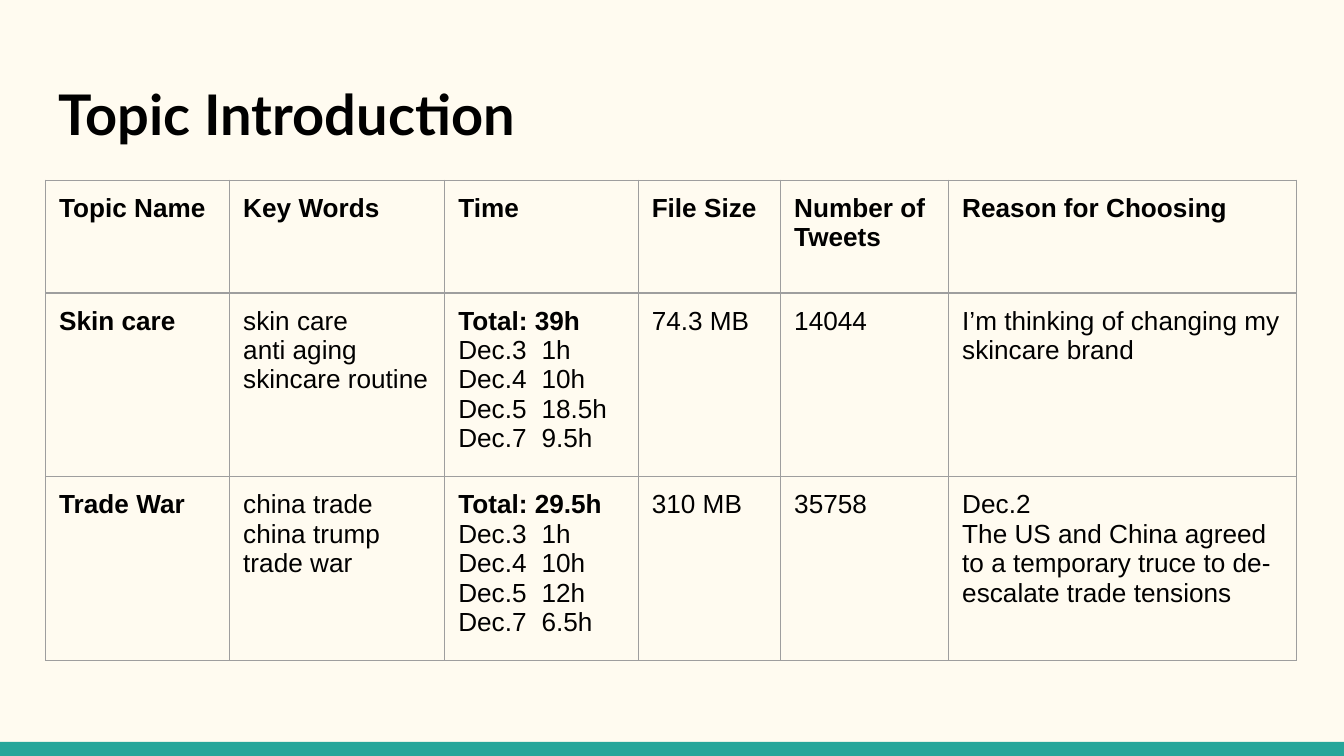
from dataclasses import dataclass

from lxml import etree
from pptx import Presentation
from pptx.dml.color import RGBColor
from pptx.enum.shapes import MSO_SHAPE
from pptx.enum.text import MSO_ANCHOR
from pptx.oxml.ns import qn
from pptx.util import Inches, Pt

RECTANGLE = MSO_SHAPE.RECTANGLE
TOP = MSO_ANCHOR.TOP

TITLE = "Topic Introduction"
HEADERS = ["Topic Name", "Key Words", "Time", "File Size", "Number of Tweets", "Reason for Choosing"]
TOPICS = [
    [
        ["Skin care"],
        ["skin care", "anti aging", "skincare routine"],
        ["Total: 39h", "Dec.3\t1h", "Dec.4\t10h", "Dec.5\t18.5h", "Dec.7\t9.5h"],
        ["74.3 MB"],
        ["14044"],
        ["I’m thinking of changing my skincare brand"],
    ],
    [
        ["Trade War"],
        ["china trade", "china trump", "trade war"],
        ["Total: 29.5h", "Dec.3\t1h", "Dec.4\t10h", "Dec.5\t12h", "Dec.7\t6.5h"],
        ["310 MB"],
        ["35758"],
        ["Dec.2", "The US and China agreed to a temporary truce to de-escalate trade tensions"],
    ],
]
COLUMN_WIDTHS = [1.37, 1.6, 1.44, 1.06, 1.25, 2.59]
ROW_HEIGHTS = [0.84, 1.3, 1.3]
LEFT, TABLE_TOP, INSET, HOURS_TAB = 0.34, 1.34, 0.1, 0.62


@dataclass(frozen=True)
class Theme:
    background: str = "FFFBF0"
    accent: str = "26A69A"
    ink: str = "000000"
    border: str = "9E9E9E"
    border_width: float = 0.75
    title_font: str = "Lato"
    title_size: int = 30
    body_font: str = "Arial"
    body_size: int = 14


THEME = Theme()


def add_span(para, text, font_name, size, bold):
    span = para.add_run()
    span.text = text
    span.font.name = font_name
    span.font.size = Pt(size)
    span.font.bold = bold
    span.font.color.rgb = RGBColor.from_string(THEME.ink)
    etree.SubElement(para._p, qn("a:endParaRPr"), sz=str(size * 100))


def set_insets(target):
    target.margin_left = target.margin_right = Inches(INSET)
    target.margin_top = target.margin_bottom = Inches(INSET)


def add_hours_tab(para):
    tabs = etree.SubElement(para._p.get_or_add_pPr(), qn("a:tabLst"))
    etree.SubElement(tabs, qn("a:tab"), pos=str(Inches(HOURS_TAB)), algn="l")


def set_borders(cell):
    properties = cell._tc.get_or_add_tcPr()
    for side in ("lnL", "lnR", "lnT", "lnB"):
        line = etree.SubElement(properties, qn(f"a:{side}"), w=str(Pt(THEME.border_width)))
        fill = etree.SubElement(line, qn("a:solidFill"))
        etree.SubElement(fill, qn("a:srgbClr"), val=THEME.border)


def fill_cell(cell, lines, is_label):
    set_insets(cell)
    cell.vertical_anchor = TOP
    set_borders(cell)
    cell.fill.background()
    frame = cell.text_frame
    for index, text in enumerate(lines):
        para = frame.paragraphs[0] if index == 0 else frame.add_paragraph()
        if "\t" in text:
            add_hours_tab(para)
        bold = is_label or text.startswith("Total:")
        add_span(para, text, THEME.body_font, THEME.body_size, bold)


def add_title(page):
    box = page.shapes.add_textbox(Inches(LEFT), Inches(0.49), Inches(9.32), Inches(0.67))
    frame = box.text_frame
    frame.word_wrap = True
    frame.vertical_anchor = TOP
    set_insets(frame)
    add_span(frame.paragraphs[0], TITLE, THEME.title_font, THEME.title_size, True)


def add_footer_bar(page):
    bar = page.shapes.add_shape(RECTANGLE, 0, Inches(5.52), Inches(10), Inches(0.11))
    bar.shadow.inherit = False
    bar.fill.solid()
    bar.fill.fore_color.rgb = RGBColor.from_string(THEME.accent)
    bar.line.fill.background()


def add_topic_table(page):
    rows = [[[header] for header in HEADERS]] + TOPICS
    table = page.shapes.add_table(
        len(rows), len(HEADERS), Inches(LEFT), Inches(TABLE_TOP),
        Inches(sum(COLUMN_WIDTHS)), Inches(sum(ROW_HEIGHTS)),
    ).table
    table.first_row = table.horz_banding = False
    for column, width in zip(table.columns, COLUMN_WIDTHS):
        column.width = Inches(width)
    for row, height in zip(table.rows, ROW_HEIGHTS):
        row.height = Inches(height)
    for row_index, row in enumerate(rows):
        for column_index, lines in enumerate(row):
            is_label = row_index == 0 or column_index == 0
            fill_cell(table.cell(row_index, column_index), lines, is_label)
    table.cell(0, 0).text_frame.paragraphs[0].space_after = Pt(16)


def main():
    deck = Presentation()
    deck.slide_width = Inches(10)
    deck.slide_height = deck.slide_width * 9 // 16
    page = deck.slides.add_slide(deck.slide_layouts[6])
    page.background.fill.solid()
    page.background.fill.fore_color.rgb = RGBColor.from_string(THEME.background)
    add_footer_bar(page)
    add_title(page)
    add_topic_table(page)
    deck.save("out.pptx")


if __name__ == "__main__":
    main()
